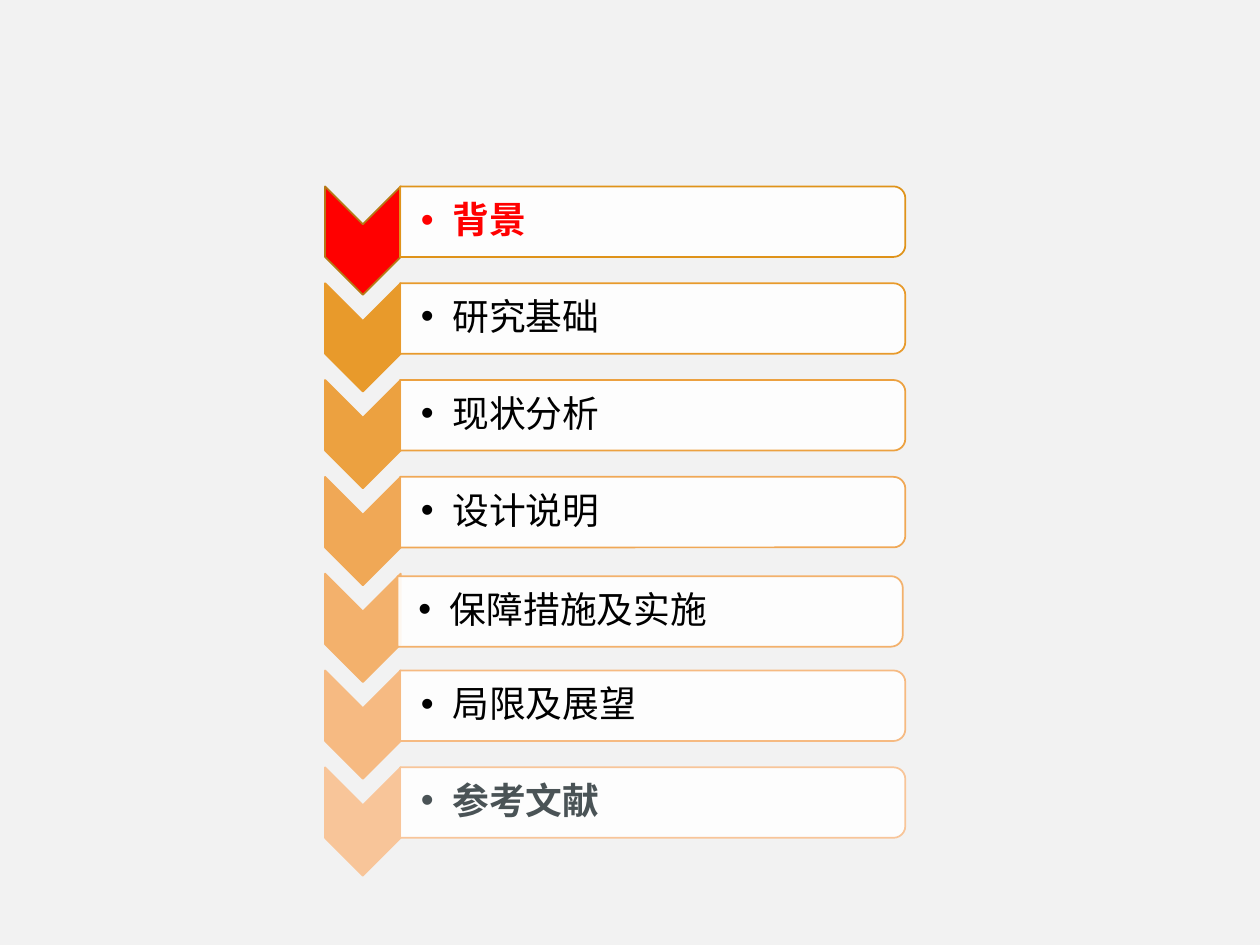
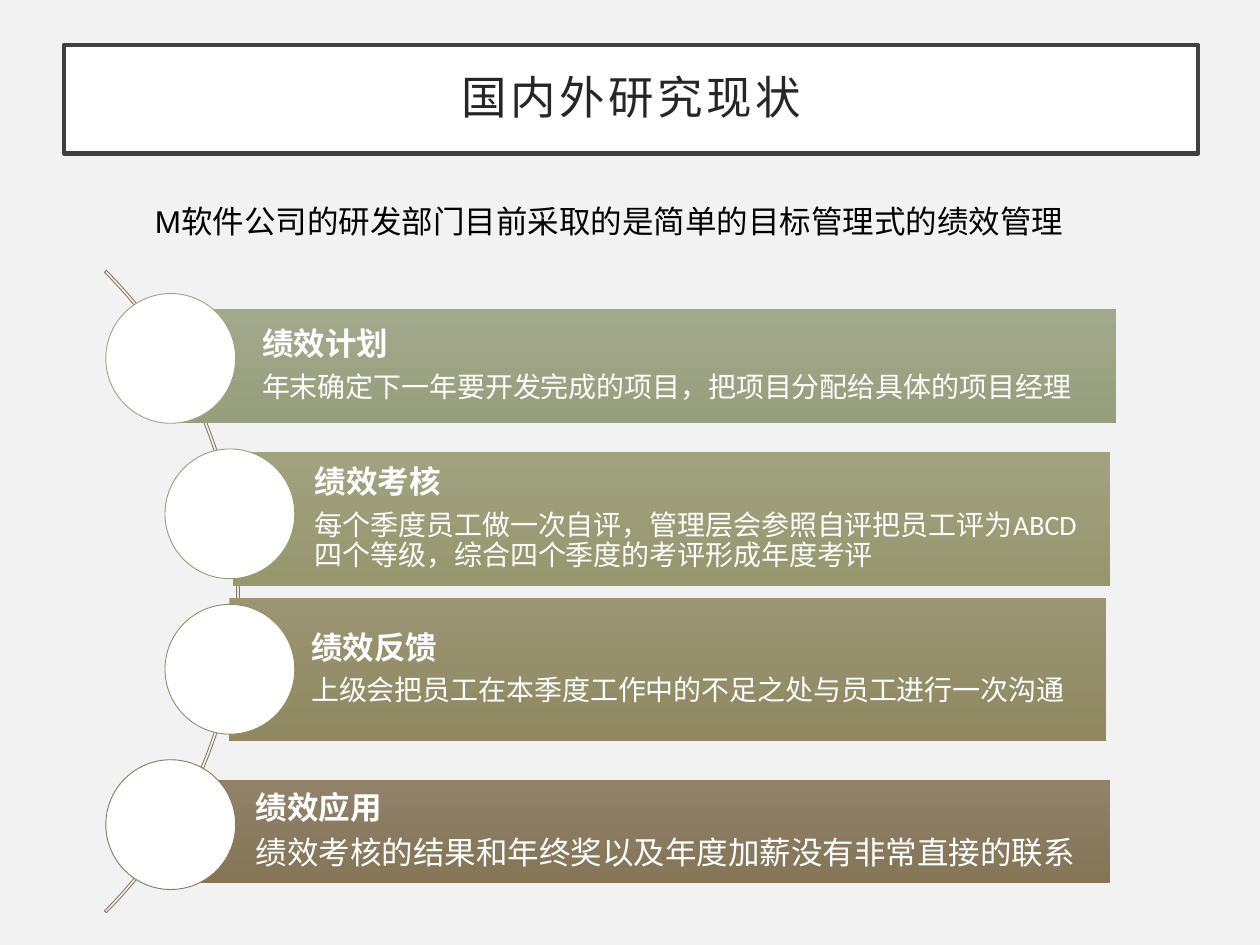
"""Build a two-slide deck: the agenda and the current state of performance management."""
from lxml.etree import SubElement
from pptx import Presentation
from pptx.dml.color import RGBColor
from pptx.enum.shapes import MSO_SHAPE as Preset
from pptx.enum.text import MSO_ANCHOR as Anchor, PP_ALIGN as Align
from pptx.oxml.ns import qn
from pptx.util import Inches, Pt

BACKGROUND, WHITE, BLACK = "F2F2F2", "FFFFFF", "000000"
LATIN, ASIAN = "Calibri", "Noto Sans CJK SC"

RED, GREY = "FF0000", "4A5356"
AGENDA = [
    ("背景", RED, "B67815", "DF931A", RED, True),
    ("研究基础", "E89A2B", "E89A2B", "E89A2B", BLACK, False),
    ("现状分析", "ECA140", "ECA140", "ECA140", BLACK, False),
    ("设计说明", "F0A856", "F0A856", "F0A856", BLACK, False),
    ("保障措施及实施", "F3B16C", "F3B16C", "F3B16C", BLACK, False),
    ("局限及展望", "F6BA82", "F6BA82", "F6BA82", BLACK, False),
    ("参考文献", "F8C599", "F8C599", "F8C599", GREY, True),
]
NUDGES = {"保障措施及实施": (-0.02, 0.02)}
FIRST_ROW, LAST_ROW = 1.76, 6.37

TITLE = "国内外研究现状"
INTRODUCTION = "M软件公司的研发部门目前采取的是简单的目标管理式的绩效管理"
STAGES = [
    ("绩效计划", "年末确定下一年要开发完成的项目，把项目分配给具体的项目经理", 16,
     (1.43, 2.45, 7.43, 0.91), ("A3A98C", "979E7C"), "9CA383"),
    ("绩效考核", "每个季度员工做一次自评，管理层会参照自评把员工评为ABCD四个等级，综合四个季度的考评形成年度考评", 16,
     (1.85, 3.59, 6.96, 1.06), ("A1A280", "96976E"), "9A9B75"),
    ("绩效反馈", "上级会把员工在本季度工作中的不足之处与员工进行一次沟通", 16,
     (1.82, 4.75, 6.96, 1.13), ("9A9473", "8F8861"), "938C67"),
    ("绩效应用", "绩效考核的结果和年终奖以及年度加薪没有非常直接的联系", 18,
     (1.38, 6.19, 7.43, 0.82), ("908269", "847557"), "87795D"),
]
CIRCLE_LEFTS = (0.84, 1.31, 1.31, 0.84)
CIRCLE_SIZE, FIRST_CIRCLE, LAST_CIRCLE = 1.03, 2.33, 6.03
ARC_BOX, ARC_ADJUSTMENTS, ARC_COLOR = (-5.31, 1.09, 7.21, 7.21), (189, 27, 0.003), "87795D"


def color(value):
    return RGBColor.from_string(value)


def assign(target, values):
    for name, value in values.items():
        setattr(target, name, value)


def evenly(first, last, count):
    return [first + (last - first) * index / (count - 1) for index in range(count)]


def centred(x, y, width, height):
    return x - width / 2, y - height / 2, width, height


def add_slide(presentation):
    slide = presentation.slides.add_slide(presentation.slide_layouts[6])
    slide.background.fill.solid()
    slide.background.fill.fore_color.rgb = color(BACKGROUND)
    return slide


def add_preset(slide, preset, box, fill=None, line=None, width=1, rotation=0):
    shape = slide.shapes.add_shape(preset, *map(Inches, box))
    shape.shadow.inherit = False
    shape.rotation = rotation
    if fill:
        shape.fill.solid()
        shape.fill.fore_color.rgb = color(fill)
    else:
        shape.fill.background()
    if line:
        shape.line.color.rgb = color(line)
        shape.line.width = Pt(width)
    else:
        shape.line.fill.background()
    return shape


def set_frame(shape, insets, anchor=Anchor.MIDDLE):
    frame = shape.text_frame
    assign(frame, {"word_wrap": True, "vertical_anchor": anchor})
    sides = ("margin_left", "margin_top", "margin_right", "margin_bottom")
    assign(frame, dict(zip(sides, map(Inches, insets))))
    return frame


def write(paragraph, text, size, ink, bold=False, font=LATIN, align=Align.LEFT, spacing=0.9, after=0):
    assign(paragraph, {"alignment": align, "line_spacing": spacing, "space_after": Pt(after)})
    run = paragraph.add_run()
    run.text = text
    assign(run.font, {"size": Pt(size), "bold": bold, "name": font})
    run.font.color.rgb = color(ink)
    properties = run.font._element
    SubElement(properties, qn("a:ea")).set("typeface", ASIAN)
    return properties


def add_bullet(paragraph, indent):
    properties = paragraph._p.get_or_add_pPr()
    properties.set("marL", str(Inches(indent)))
    properties.set("indent", str(-Inches(indent)))
    SubElement(properties, qn("a:buFont")).set("typeface", "Arial")
    SubElement(properties, qn("a:buChar")).set("char", "•")


def set_opacity(shape, percent):
    fill_color = shape._element.spPr.find(qn("a:solidFill"))[0]
    SubElement(fill_color, qn("a:alpha")).set("val", str(percent * 1000))


def build_agenda(presentation):
    slide = add_slide(presentation)
    for row, y in zip(AGENDA, evenly(FIRST_ROW, LAST_ROW, len(AGENDA))):
        topic, chevron_fill, chevron_line, panel_line, ink, bold = row
        shift_x, shift_y = NUDGES.get(topic, (0, 0))
        panel_x, panel_y = 5.18 + shift_x, y + shift_y
        add_preset(slide, Preset.CHEVRON, centred(2.88, y + 0.15, 0.86, 0.6),
                   chevron_fill, chevron_line, rotation=90)
        panel = add_preset(slide, Preset.ROUND_2_SAME_RECTANGLE,
                           centred(panel_x, panel_y, 0.56, 4.01), WHITE, panel_line, rotation=90)
        set_opacity(panel, 90)
        label = slide.shapes.add_textbox(*map(Inches, centred(panel_x - 0.01, panel_y, 3.98, 0.5)))
        paragraph = set_frame(label, (0.16, 0.01, 0.01, 0.01)).paragraphs[0]
        write(paragraph, topic, 21, ink, bold, after=3)
        add_bullet(paragraph, 0.25)


def build_current_state(presentation):
    slide = add_slide(presentation)
    title = add_preset(slide, Preset.RECTANGLE, (0.51, 0.36, 9, 0.86), WHITE, "404040", 2.5)
    paragraph = set_frame(title, (0.2,) * 4).paragraphs[0]
    write(paragraph, TITLE, 26, "262626", font=ASIAN, align=Align.CENTER).set("spc", "200")

    introduction = slide.shapes.add_textbox(*map(Inches, (1.06, 1.55, 8.03, 0.71)))
    paragraph = set_frame(introduction, (0.17, 0.05, 0.1, 0.05), Anchor.TOP).paragraphs[0]
    write(paragraph, INTRODUCTION, 18, BLACK, font="Arial", spacing=1.0)

    arc = add_preset(slide, Preset.BLOCK_ARC, ARC_BOX, line=ARC_COLOR, width=0.5)
    for index, value in enumerate(ARC_ADJUSTMENTS):
        arc.adjustments[index] = value

    circle_tops = evenly(FIRST_CIRCLE, LAST_CIRCLE, len(STAGES))
    for stage, left, top in zip(STAGES, CIRCLE_LEFTS, circle_tops):
        heading, detail, detail_size, box, shades, outline = stage
        bar = add_preset(slide, Preset.RECTANGLE, box)
        bar.fill.gradient()
        bar.fill.gradient_angle = 270
        for stop, shade in zip(bar.fill.gradient_stops, shades):
            stop.color.rgb = color(shade)
        frame = set_frame(bar, (0.65, 0.05, 0.05, 0.05))
        write(frame.paragraphs[0], heading, 18, WHITE, True, after=6)
        write(frame.add_paragraph(), detail, detail_size, WHITE, after=6)
        add_preset(slide, Preset.OVAL, (left, top, CIRCLE_SIZE, CIRCLE_SIZE), WHITE, outline, 0.5)


def main():
    presentation = Presentation()
    assign(presentation, {"slide_width": Inches(10), "slide_height": Inches(7.5)})
    build_agenda(presentation)
    build_current_state(presentation)
    presentation.save("out.pptx")


if __name__ == "__main__":
    main()
